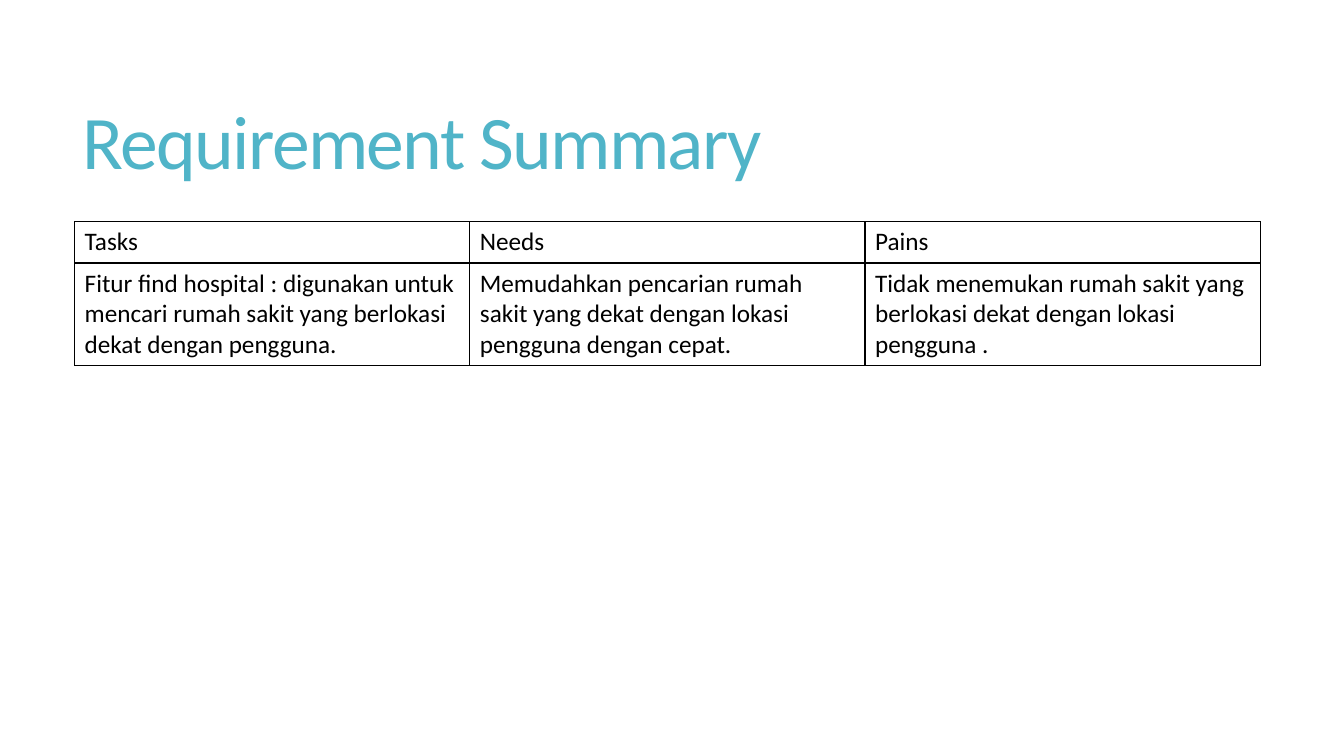
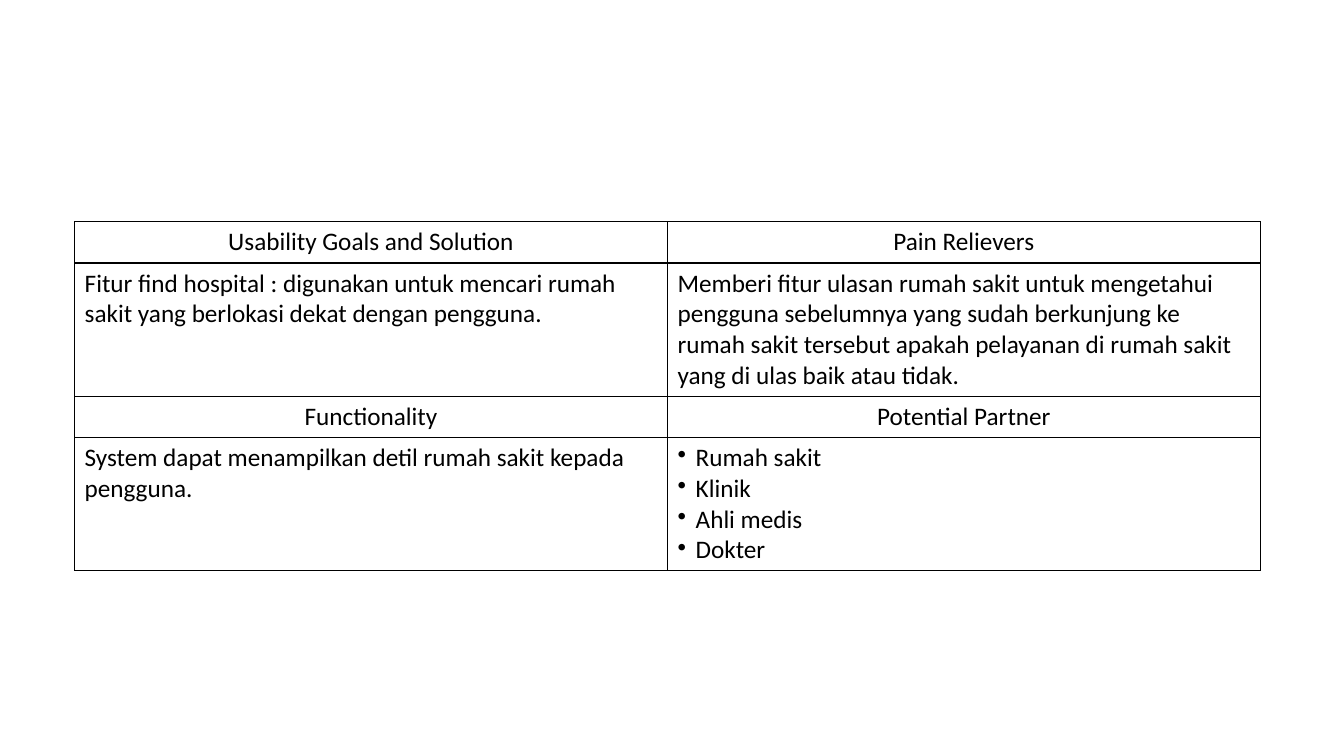
import dataclasses

import lxml.etree
import pptx
import pptx.dml.color
import pptx.enum.text
import pptx.oxml.ns
import pptx.presentation
import pptx.slide
import pptx.table
import pptx.text.text
import pptx.util

WIDTH, HEIGHT = 13.33, 7.5
FONT = "Calibri"
TITLE_COLOR, INK = "50B4C8", "000000"
TITLE_LAYOUT, BLANK_LAYOUT = 5, 6
TABLE_LEFT, TABLE_TOP, TABLE_WIDTH = 0.74, 2.2, 11.76
HEADER_HEIGHT = 0.41
BULLET_INDENT = 0.18

inch = pptx.util.Inches
qn = pptx.oxml.ns.qn


@dataclasses.dataclass(frozen=True)
class Cell:
    lines: tuple[str, ...]
    centered: bool = False
    bulleted: bool = False


@dataclasses.dataclass(frozen=True)
class Row:
    height: float
    cells: tuple[Cell, ...]


def header(*labels: str, centered: bool = False) -> Row:
    return Row(HEADER_HEIGHT, tuple(Cell((label,), centered) for label in labels))


REQUIREMENTS = (
    header("Tasks", "Needs", "Pains"),
    Row(1.0, (
        Cell(("Fitur find hospital : digunakan untuk mencari rumah sakit yang berlokasi dekat dengan pengguna.",)),
        Cell(("Memudahkan pencarian rumah sakit yang dekat dengan lokasi pengguna dengan cepat.",)),
        Cell(("Tidak menemukan rumah sakit yang berlokasi dekat dengan lokasi pengguna .",)),
    )),
)

SOLUTIONS = (
    header("Usability Goals and Solution", "Pain Relievers", centered=True),
    Row(1.3, (
        Cell(("Fitur find hospital : digunakan untuk mencari rumah sakit yang berlokasi dekat dengan pengguna.",)),
        Cell(("Memberi fitur ulasan rumah sakit untuk mengetahui pengguna sebelumnya yang sudah berkunjung ke "
              "rumah sakit tersebut apakah pelayanan di rumah sakit yang di ulas baik atau tidak.",)),
    )),
    header("Functionality", "Potential Partner", centered=True),
    Row(1.3, (
        Cell(("System dapat menampilkan detil rumah sakit kepada pengguna.",)),
        Cell(("Rumah sakit", "Klinik", "Ahli medis", "Dokter"), bulleted=True),
    )),
)


def rgb(color: str) -> pptx.dml.color.RGBColor:
    return pptx.dml.color.RGBColor.from_string(color)


def style_font(font: pptx.text.text.Font, size: float, color: str) -> None:
    font.name = FONT
    font.size = pptx.util.Pt(size)
    font.color.rgb = rgb(color)


def add_title(s: pptx.slide.Slide, text: str) -> None:
    title = s.shapes.title
    title.left, title.top = inch(0.72), inch(0.55)
    title.width, title.height = inch(11.78), inch(1.81)
    tf = title.text_frame
    tf.vertical_anchor = pptx.enum.text.MSO_ANCHOR.MIDDLE
    p = tf.paragraphs[0]
    p.alignment = pptx.enum.text.PP_ALIGN.LEFT
    p.line_spacing = 0.85
    r = p.add_run()
    r.text = text
    style_font(r.font, 54, TITLE_COLOR)
    r.font._element.set("spc", "-120")


def add_bullet(p: pptx.text.text._Paragraph) -> None:
    props = p._p.get_or_add_pPr()
    indent = inch(BULLET_INDENT)
    props.set("marL", str(indent))
    props.set("indent", str(-indent))
    bullet = lxml.etree.Element(qn("a:buChar"), char="•")
    props.insert_element_before(bullet, "a:tabLst", "a:defRPr", "a:extLst")


def add_borders(cell: pptx.table._Cell) -> None:
    props = cell._tc.get_or_add_tcPr()
    for side in ("lnL", "lnR", "lnT", "lnB"):
        line = lxml.etree.SubElement(props, qn(f"a:{side}"), w=str(pptx.util.Pt(1)))
        fill = lxml.etree.SubElement(line, qn("a:solidFill"))
        lxml.etree.SubElement(fill, qn("a:srgbClr"), val=INK)


def fill_cell(cell: pptx.table._Cell, content: Cell) -> None:
    add_borders(cell)
    cell.fill.background()
    tf = cell.text_frame
    tf.text = "\n".join(content.lines)
    for p in tf.paragraphs:
        style_font(p.font, 18, INK)
        if content.centered:
            p.alignment = pptx.enum.text.PP_ALIGN.CENTER
        if content.bulleted:
            add_bullet(p)


def add_grid(s: pptx.slide.Slide, rows: tuple[Row, ...]) -> None:
    columns = len(rows[0].cells)
    height = sum(row.height for row in rows)
    table = s.shapes.add_table(
        len(rows), columns, inch(TABLE_LEFT), inch(TABLE_TOP), inch(TABLE_WIDTH), inch(height)
    ).table
    table.first_row = table.horz_banding = False
    for column in table.columns:
        column.width = inch(TABLE_WIDTH / columns)
    for i, row in enumerate(rows):
        table.rows[i].height = inch(row.height)
        for j, content in enumerate(row.cells):
            fill_cell(table.cell(i, j), content)


def add_slide(prs: pptx.presentation.Presentation, rows: tuple[Row, ...], title: str = "") -> None:
    s = prs.slides.add_slide(prs.slide_layouts[TITLE_LAYOUT if title else BLANK_LAYOUT])
    if title:
        add_title(s, title)
    add_grid(s, rows)


def main() -> None:
    prs = pptx.Presentation()
    prs.slide_width, prs.slide_height = inch(WIDTH), inch(HEIGHT)
    add_slide(prs, REQUIREMENTS, "Requirement Summary")
    add_slide(prs, SOLUTIONS)
    prs.save("out.pptx")


if __name__ == "__main__":
    main()
